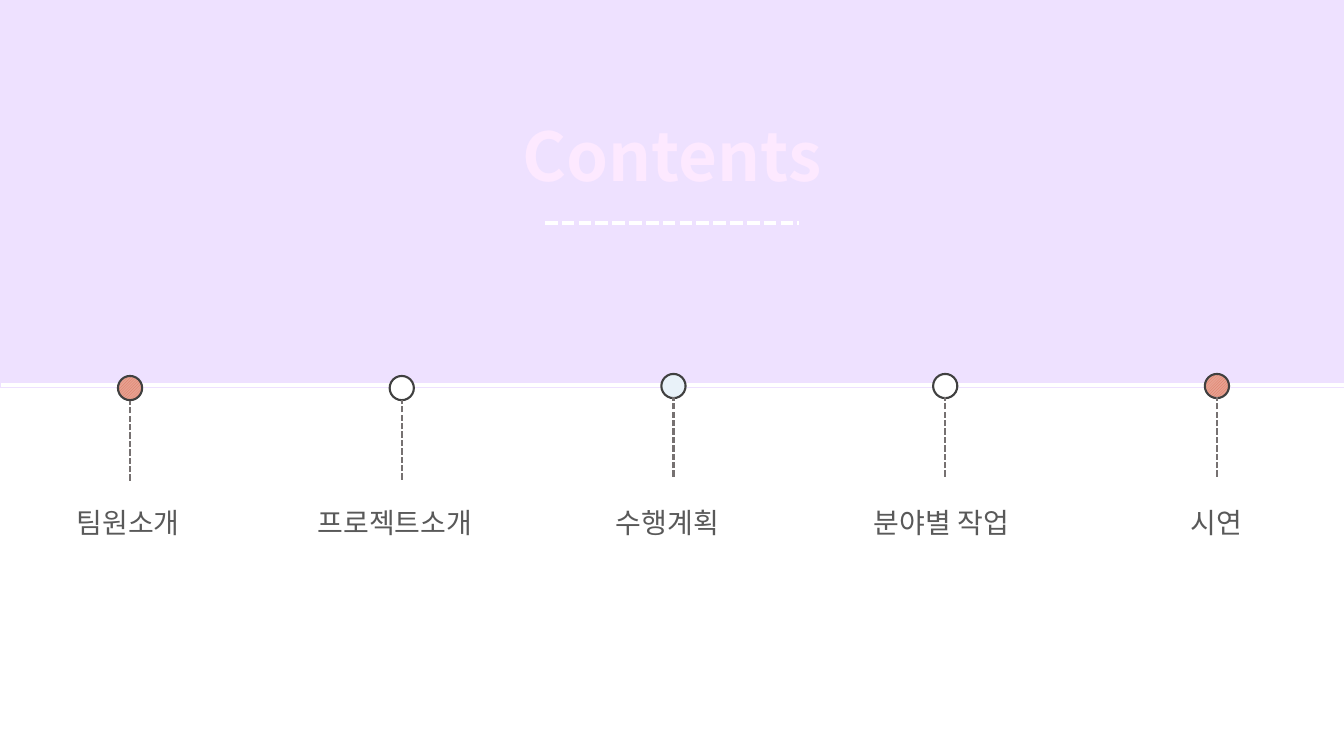
from lxml import etree
from pptx import Presentation
from pptx import util as u
from pptx.dml.color import RGBColor
from pptx.enum import dml, shapes, text
from pptx.oxml.ns import qn

LILAC = RGBColor(0xEE, 0xE1, 0xFF)
WHITE = RGBColor(0xFF, 0xFF, 0xFF)
PINK = RGBColor(0xFD, 0xE9, 0xFF)
CORAL = RGBColor(0xDB, 0x73, 0x5B)
SALMON = RGBColor(0xE7, 0xA1, 0x91)
ICE = RGBColor(0xE9, 0xF2, 0xF9)
CHARCOAL = RGBColor(0x40, 0x40, 0x40)
GRAY = RGBColor(0x59, 0x59, 0x59)
STEM_GRAY = RGBColor(0x76, 0x71, 0x71)
FONT = "Noto Sans CJK KR"

TITLE = "Contents"
# label, dot colours, label left, label width, dot top, stem top
TOPICS = [
    ("팀원소개", (CORAL, SALMON), 0.66, 1.49, 3.73, 3.98),
    ("프로젝트소개", (WHITE,), 3.05, 2.18, 3.73, 3.97),
    ("수행계획", (ICE,), 6.01, 1.49, 3.71, 3.94),
    ("분야별 작업", (WHITE,), 8.57, 2.07, 3.71, 3.94),
    ("시연", (CORAL, SALMON), 11.71, 1.49, 3.71, 3.94),
]

WIDTH, HEIGHT = 13.33, 7.5
PANEL_TOP = 3.85
TIMELINE_Y = 3.82
FIRST_X, LAST_X = 1.29, 12.07
PITCH = (LAST_X - FIRST_X) / (len(TOPICS) - 1)
DOT = 0.24
STEM = 0.79
LABEL_TOP, LABEL_HEIGHT = 4.97, 0.44
RULE_Y, RULE_WIDTH = 2.21, 2.52
TITLE_TOP, TITLE_WIDTH, TITLE_HEIGHT = 1.09, 4, 1.07


def inches(*lengths):
    return [u.Inches(length) for length in lengths]


def add_line(slide, x1, y1, x2, y2, color, weight, dashed=False):
    line = slide.shapes.add_connector(
        shapes.MSO_CONNECTOR.STRAIGHT, *inches(x1, y1, x2, y2))
    line.line.color.rgb = color
    line.line.width = u.Pt(weight)
    if dashed:
        line.line.dash_style = dml.MSO_LINE.SQUARE_DOT
    etree.SubElement(line._element.spPr, qn("a:effectLst"))


def add_shape(slide, kind, box, colors, outline=None):
    shape = slide.shapes.add_shape(kind, *inches(*box))
    shape.shadow.inherit = False
    if len(colors) == 2:
        shape.fill.patterned()
        shape.fill.pattern = dml.MSO_PATTERN.DARK_UPWARD_DIAGONAL
        shape.fill.fore_color.rgb, shape.fill.back_color.rgb = colors
    else:
        shape.fill.solid()
        shape.fill.fore_color.rgb = colors[0]
    if outline is None:
        shape.line.fill.background()
    else:
        shape.line.color.rgb = outline
        shape.line.width = u.Pt(1.5)


def add_text(slide, words, box, size, color, bold=False, align=text.PP_ALIGN.LEFT):
    frame = slide.shapes.add_textbox(*inches(*box)).text_frame
    frame.word_wrap = True
    frame.auto_size = text.MSO_AUTO_SIZE.SHAPE_TO_FIT_TEXT
    paragraph = frame.paragraphs[0]
    paragraph.alignment = align
    run = paragraph.add_run()
    run.text = words
    run.font.size = u.Pt(size)
    run.font.bold = bold
    run.font.name = FONT
    run.font.color.rgb = color
    east_asian = etree.SubElement(run.font._element, qn("a:ea"))
    east_asian.set("typeface", FONT)


def main():
    deck = Presentation()
    deck.slide_width, deck.slide_height = inches(WIDTH, HEIGHT)
    slide = deck.slides.add_slide(deck.slide_layouts[6])
    slide.background.fill.solid()
    slide.background.fill.fore_color.rgb = LILAC

    add_shape(slide, shapes.MSO_SHAPE.RECTANGLE,
              (0, PANEL_TOP, WIDTH, HEIGHT - PANEL_TOP), (WHITE,))
    add_line(slide, 0.01, TIMELINE_Y, WIDTH, TIMELINE_Y, WHITE, 3)

    add_text(slide, TITLE,
             ((WIDTH - TITLE_WIDTH) / 2, TITLE_TOP, TITLE_WIDTH, TITLE_HEIGHT),
             48, PINK, True, text.PP_ALIGN.CENTER)
    rule_left = (WIDTH - RULE_WIDTH) / 2
    add_line(slide, rule_left, RULE_Y, rule_left + RULE_WIDTH, RULE_Y, WHITE, 3, True)

    for i, (label, colors, left, width, dot_top, stem_top) in enumerate(TOPICS):
        x = FIRST_X + i * PITCH
        add_shape(slide, shapes.MSO_SHAPE.OVAL,
                  (x - DOT / 2, dot_top, DOT, DOT), colors, CHARCOAL)
        add_line(slide, x, stem_top + STEM, x, stem_top, STEM_GRAY, 1.5, True)
        add_text(slide, label, (left, LABEL_TOP, width, LABEL_HEIGHT), 20, GRAY)

    deck.save("out.pptx")


if __name__ == "__main__":
    main()
